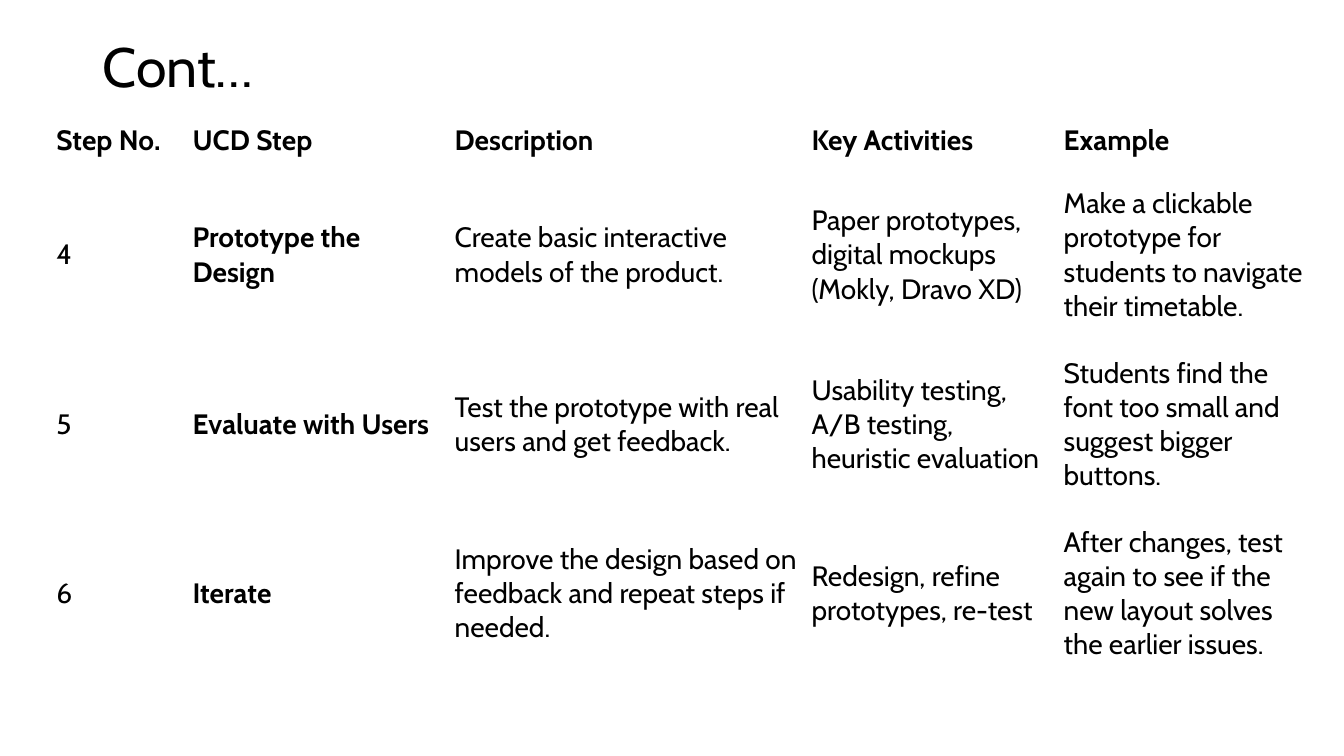
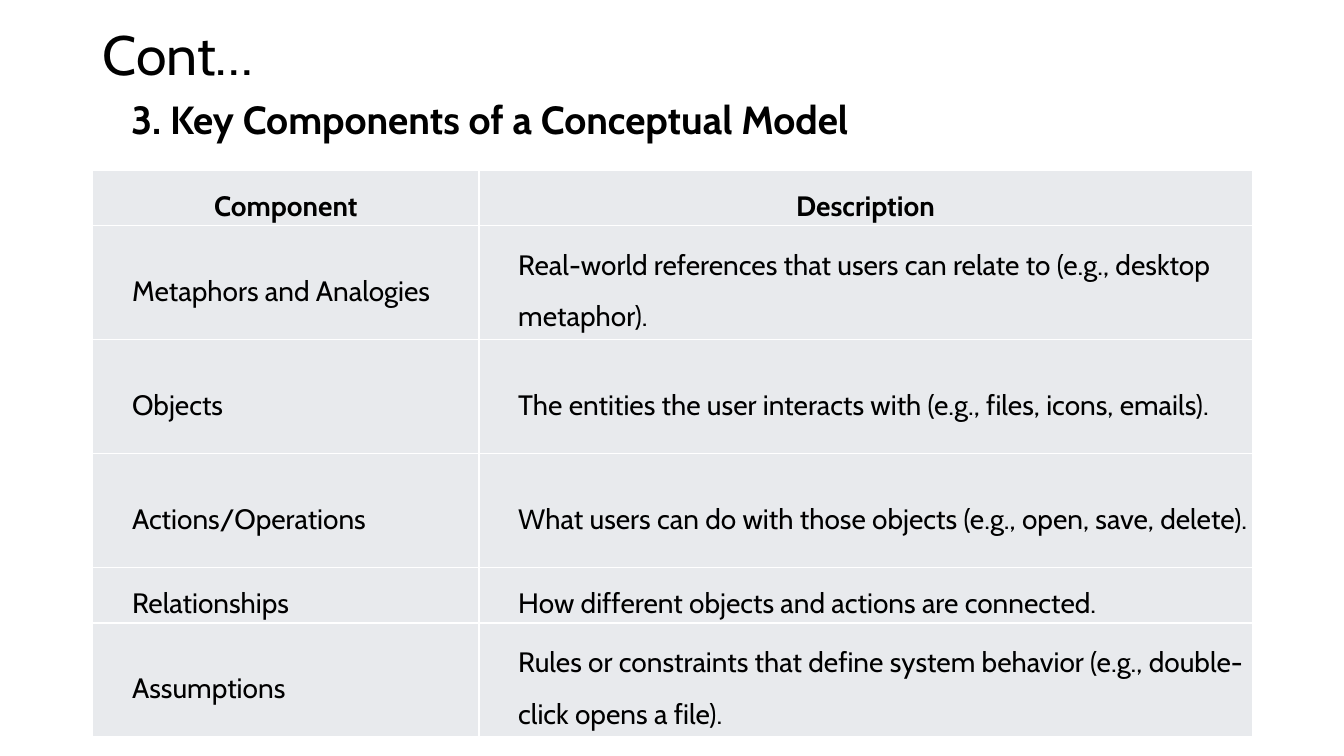
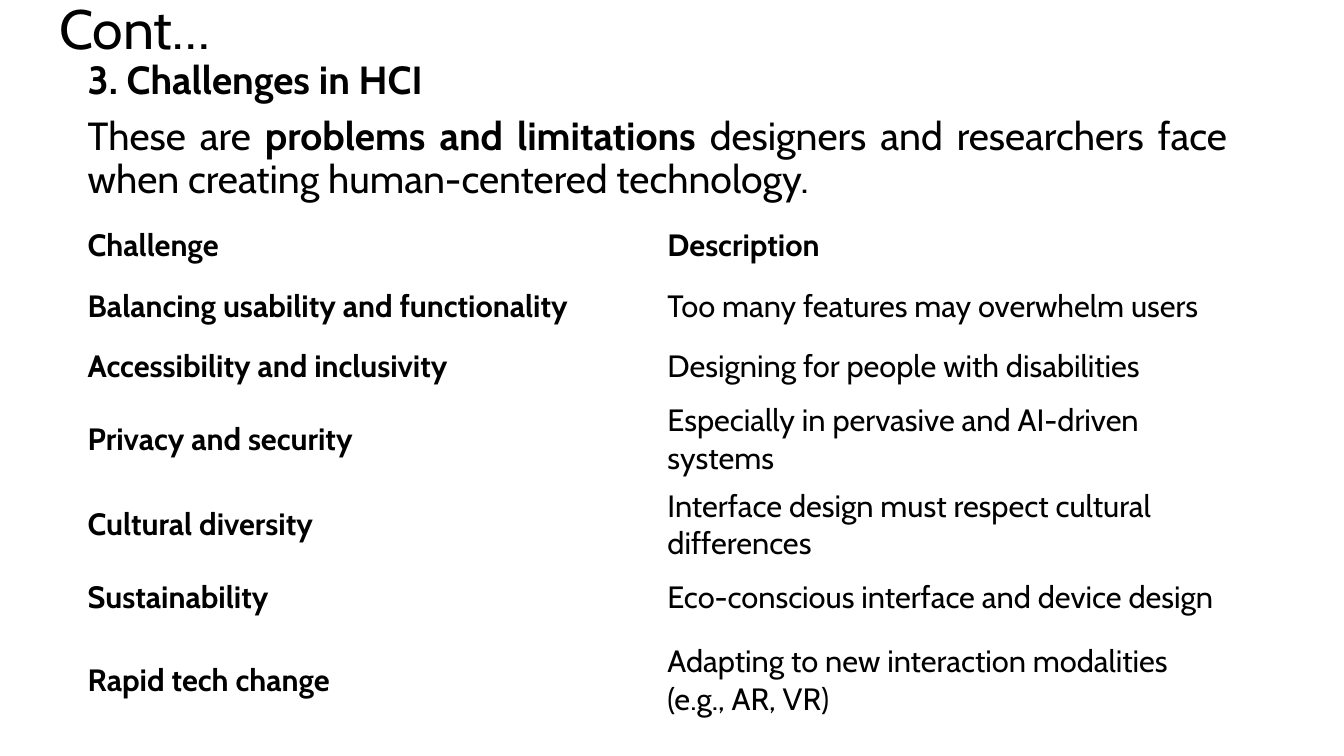
from lxml.etree import SubElement
from pptx import Presentation
from pptx.dml.color import RGBColor
from pptx.enum.text import MSO_ANCHOR, MSO_AUTO_SIZE, PP_ALIGN
from pptx.oxml.ns import qn
from pptx.util import Inches, Pt

BLACK = RGBColor(0x00, 0x00, 0x00)
WHITE = RGBColor(0xFF, 0xFF, 0xFF)
PALE_GRAY = RGBColor(0xE8, 0xEA, 0xED)
FONT = "Cabin"
BULLET_FONT = "Wingdings"
CLOCK = "·"  # drawn as a clock face in the bullet font
TITLE_SIZE, BODY_SIZE = 39.6, 28
CONTENT_WIDTH = 11.5
TITLE_AND_CONTENT, TITLE_ONLY = 1, 5


def set_bullet(paragraph, character=None, indent=0.0):
    """Give the paragraph a hanging symbol bullet, or none without a character."""
    properties = paragraph._p.get_or_add_pPr()
    properties.set("marL", str(Inches(indent)))
    properties.set("indent", str(-Inches(indent)))
    if character:
        SubElement(properties, qn("a:buFont"), typeface=BULLET_FONT,
                   pitchFamily="2", charset="2")
        SubElement(properties, qn("a:buChar"), char=character)
    else:
        SubElement(properties, qn("a:buNone"))


def set_borders(cell, color, width):
    properties = cell._tc.get_or_add_tcPr()
    for side in ("lnL", "lnR", "lnT", "lnB"):
        line = SubElement(properties, qn(f"a:{side}"), w=str(Pt(width)))
        fill = SubElement(line, qn("a:solidFill"))
        SubElement(fill, qn("a:srgbClr"), val=str(color))


class Deck:
    """Holds the shared style and the slide being filled."""

    def __init__(self):
        self.presentation = Presentation()
        self.presentation.slide_width = Inches(13.33)
        self.presentation.slide_height = Inches(7.5)
        self.slide = None

    def add_slide(self, layout, title, left, top, height):
        layouts = self.presentation.slide_layouts
        self.slide = self.presentation.slides.add_slide(layouts[layout])
        frame = self.place(self.slide.shapes.title, left, top, height)
        frame.vertical_anchor = MSO_ANCHOR.MIDDLE
        paragraph = frame.paragraphs[0]
        paragraph.alignment = PP_ALIGN.LEFT
        paragraph.line_spacing = 0.9
        self.add_run(paragraph, title, TITLE_SIZE)

    def place(self, shape, left, top, height):
        shape.left, shape.top = Inches(left), Inches(top)
        shape.width, shape.height = Inches(CONTENT_WIDTH), Inches(height)
        frame = shape.text_frame
        frame.word_wrap = True
        frame.auto_size = MSO_AUTO_SIZE.NONE
        return frame

    def add_run(self, paragraph, text, size, bold=False):
        run = paragraph.add_run()
        run.text = text
        run.font.name = FONT
        run.font.size = Pt(size)
        run.font.bold = bold
        run.font.color.rgb = BLACK

    def add_body(self, left, top, height, paragraphs):
        """Fill the body; each paragraph is an alignment and its (text, bold) runs."""
        frame = self.place(self.slide.placeholders[1], left, top, height)
        for index, (alignment, runs) in enumerate(paragraphs):
            paragraph = frame.add_paragraph() if index else frame.paragraphs[0]
            set_bullet(paragraph)
            paragraph.alignment = alignment
            paragraph.line_spacing = 0.9
            paragraph.space_before = Pt(10 if index else 0)
            for text, bold in runs:
                self.add_run(paragraph, text, BODY_SIZE, bold)

    def add_table(self, left, top, widths, heights, rows, size, margins=(0.1, 0.05),
                  bold_column=None, fill=None, bullet=None, line_spacing=None):
        """Add a table with a bold first row; a bullet also centres that row."""
        table = self.slide.shapes.add_table(
            len(rows), len(widths), Inches(left), Inches(top),
            Inches(sum(widths)), Inches(sum(heights))).table
        table.first_row = table.horz_banding = False
        for column, width in zip(table.columns, widths):
            column.width = Inches(width)
        for row, height in zip(table.rows, heights):
            row.height = Inches(height)
        for row_index, texts in enumerate(rows):
            for column_index, text in enumerate(texts):
                cell = table.cell(row_index, column_index)
                cell.vertical_anchor = MSO_ANCHOR.MIDDLE
                cell.margin_left = cell.margin_right = Inches(margins[0])
                cell.margin_top = cell.margin_bottom = Inches(margins[1])
                if fill is None:
                    cell.fill.background()
                else:
                    set_borders(cell, WHITE, 1)
                    cell.fill.solid()
                    cell.fill.fore_color.rgb = fill
                paragraph = cell.text_frame.paragraphs[0]
                if line_spacing:
                    paragraph.line_spacing = line_spacing
                if bullet and row_index:
                    set_bullet(paragraph, bullet, 0.38)
                elif bullet:
                    paragraph.alignment = PP_ALIGN.CENTER
                bold = row_index == 0 or column_index == bold_column
                self.add_run(paragraph, text, size, bold)


def add_design_steps(deck):
    deck.add_slide(TITLE_ONLY, "Cont…", 0.92, 0.4, 0.57)
    deck.add_table(
        0.51, 1.18, [1.35, 2.6, 3.54, 2.5, 2.5], [0.42, 1.86, 1.5, 1.86],
        [
            ("Step No.", "UCD Step", "Description", "Key Activities", "Example"),
            ("4", "Prototype the Design",
             "Create basic interactive models of the product.",
             "Paper prototypes, digital mockups (Mokly, Dravo XD)",
             "Make a clickable prototype for students to navigate their timetable."),
            ("5", "Evaluate with Users",
             "Test the prototype with real users and get feedback.",
             "Usability testing, A/B testing, heuristic evaluation",
             "Students find the font too small and suggest bigger buttons."),
            ("6", "Iterate",
             "Improve the design based on feedback and repeat steps if needed.",
             "Redesign, refine prototypes, re-test",
             "After changes, test again to see if the new layout solves the earlier issues."),
        ],
        size=20, margins=(0.05, 0.03), bold_column=1)


def add_model_components(deck):
    deck.add_slide(TITLE_AND_CONTENT, "Cont…", 0.92, 0.4, 0.35)
    deck.add_body(1.2, 0.95, 6.15, [
        (PP_ALIGN.LEFT, [("3. Key Components of a Conceptual Model", True)]),
    ])
    deck.add_table(
        0.92, 1.69, [3.83, 7.67], [0.55, 1.13, 1.13, 1.13, 0.55, 1.13],
        [
            ("Component", "Description"),
            ("Metaphors and Analogies",
             "Real-world references that users can relate to (e.g., desktop metaphor)."),
            ("Objects",
             "The entities the user interacts with (e.g., files, icons, emails)."),
            ("Actions/Operations",
             "What users can do with those objects (e.g., open, save, delete)."),
            ("Relationships", "How different objects and actions are connected."),
            ("Assumptions",
             "Rules or constraints that define system behavior "
             "(e.g., double-click opens a file)."),
        ],
        size=20, margins=(0.01, 0.01), fill=PALE_GRAY, bullet=CLOCK, line_spacing=1.5)


def add_challenges(deck):
    deck.add_slide(TITLE_AND_CONTENT, "Cont…", 0.49, 0.16, 0.31)
    deck.add_body(0.77, 0.55, 6.39, [
        (PP_ALIGN.LEFT, [("3. Challenges in HCI", True)]),
        (PP_ALIGN.JUSTIFY, [
            ("These are ", False),
            ("problems and limitations", True),
            (" designers and researchers face when creating "
             "human-centered technology.", False),
        ]),
    ])
    deck.add_table(
        0.77, 2.14, [CONTENT_WIDTH / 2] * 2, [0.6, 0.6, 0.6, 0.83, 0.83, 0.6, 1.05],
        [
            ("Challenge", "Description"),
            ("Balancing usability and functionality",
             "Too many features may overwhelm users"),
            ("Accessibility and inclusivity", "Designing for people with disabilities"),
            ("Privacy and security", "Especially in pervasive and AI-driven systems"),
            ("Cultural diversity", "Interface design must respect cultural differences"),
            ("Sustainability", "Eco-conscious interface and device design"),
            ("Rapid tech change",
             "Adapting to new interaction modalities (e.g., AR, VR)"),
        ],
        size=22, bold_column=0)


def main():
    deck = Deck()
    add_design_steps(deck)
    add_model_components(deck)
    add_challenges(deck)
    deck.presentation.save("out.pptx")


if __name__ == "__main__":
    main()
